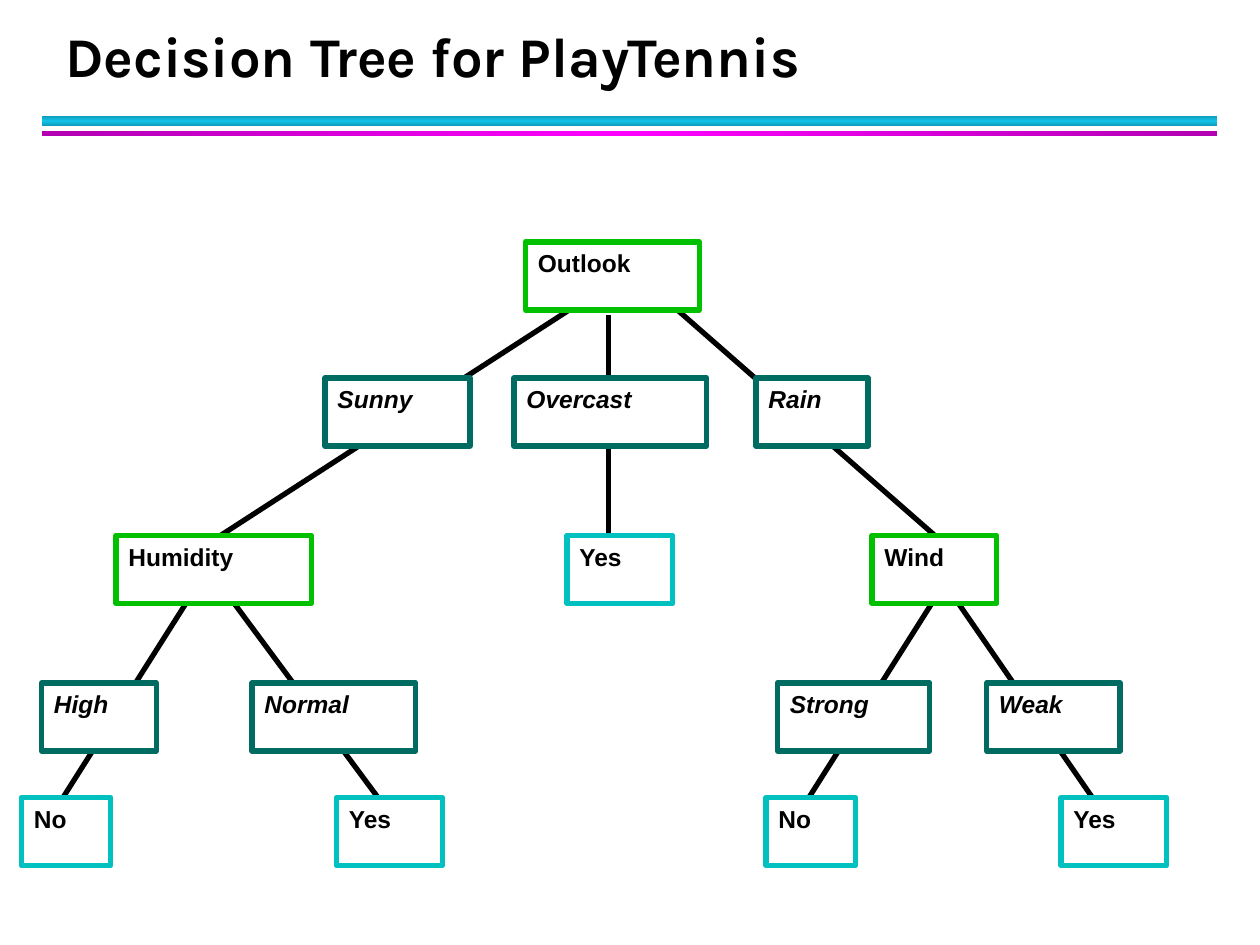
from lxml.etree import SubElement
from pptx import Presentation
from pptx.dml.color import RGBColor
from pptx.enum.shapes import MSO_CONNECTOR, MSO_SHAPE
from pptx.enum.text import MSO_ANCHOR, PP_ALIGN
from pptx.oxml import parse_xml
from pptx.oxml.ns import nsdecls, qn
from pptx.util import Inches, Pt

TITLE = "Decision Tree for PlayTennis"
BLACK, WHITE = "000000", "FFFFFF"
RULES = [
    (0.92, 0.08, "0E9BBA", "12C2E9", 90),
    (1.04, 0.04, "B200B2", "FF00FF", 0),
]
BOX_HEIGHT = 0.54
STYLES = {
    "attribute": ("00C000", False),
    "value": ("006B61", True),
    "answer": ("00C0C0", False),
}
LEVELS = [
    (1.92, [("Outlook", "attribute", 4.17, 1.38)]),
    (3, [("Sunny", "value", 2.58, 1.15),
         ("Overcast", "value", 4.08, 1.53),
         ("Rain", "value", 6, 0.89)]),
    (4.25, [("Humidity", "attribute", 0.92, 1.55),
            ("Yes", "answer", 4.5, 0.84),
            ("Wind", "attribute", 6.92, 0.99)]),
    (5.42, [("High", "value", 0.33, 0.91),
            ("Normal", "value", 2, 1.3),
            ("Strong", "value", 6.17, 1.21),
            ("Weak", "value", 7.83, 1.06)]),
    (6.33, [("No", "answer", 0.17, 0.71),
            ("Yes", "answer", 2.67, 0.84),
            ("No", "answer", 6.08, 0.71),
            ("Yes", "answer", 8.42, 0.84)]),
]
BRANCHES = [
    (2.42, 4.25, [(4.58, 1.75), (5.33, 7.42)]),
    (2.5, 4.25, [(4.83, 4.83)]),
    (4.75, 6.33, [(1.5, 0.5), (1.83, 3), (7.58, 8.67), (7.42, 6.42)]),
]


def color(value):
    return RGBColor.from_string(value)


def add_rectangle(slide, left, top, width, height):
    shape = slide.shapes.add_shape(
        MSO_SHAPE.RECTANGLE, Inches(left), Inches(top), Inches(width), Inches(height))
    shape.shadow.inherit = False
    return shape


def add_rule(slide, top, height, edge, middle, angle):
    shape = add_rectangle(slide, 0.33, top, 9.33, height)
    shape.line.fill.background()
    stops = "".join(
        f'<a:gs pos="{position * 1000}"><a:srgbClr val="{value}"/></a:gs>'
        for position, value in ((0, edge), (50, middle), (100, edge)))
    gradient = parse_xml(
        f'<a:gradFill {nsdecls("a")} rotWithShape="1"><a:gsLst>{stops}</a:gsLst>'
        f'<a:lin ang="{angle * 60000}" scaled="0"/></a:gradFill>')
    shape._element.spPr.find(qn("a:prstGeom")).addnext(gradient)


def add_branch(slide, start_x, start_y, end_x, end_y):
    connector = slide.shapes.add_connector(
        MSO_CONNECTOR.STRAIGHT, Inches(start_x), Inches(start_y), Inches(end_x), Inches(end_y))
    connector.line.color.rgb = color(BLACK)
    connector.line.width = Pt(3)
    SubElement(connector._element.spPr, qn("a:effectLst"))


def write_text(shape, text, font_name, size, italic=False, anchor=MSO_ANCHOR.TOP):
    frame = shape.text_frame
    frame.word_wrap = True
    frame.vertical_anchor = anchor
    paragraph = frame.paragraphs[0]
    paragraph.alignment = PP_ALIGN.LEFT
    run = paragraph.add_run()
    run.text = text
    run.font.name = font_name
    run.font.size = Pt(size)
    run.font.bold = True
    run.font.italic = italic
    run.font.color.rgb = color(BLACK)
    return paragraph


def add_node(slide, text, style, left, top, width):
    outline, italic = STYLES[style]
    shape = add_rectangle(slide, left, top, width, BOX_HEIGHT)
    shape.fill.solid()
    shape.fill.fore_color.rgb = color(WHITE)
    shape.line.color.rgb = color(outline)
    shape.line.width = Pt(3)
    write_text(shape, text, "Arial", 14, italic)


def main():
    """Build the decision tree slide."""
    presentation = Presentation()
    presentation.slide_width, presentation.slide_height = Inches(10), Inches(7.5)
    slide = presentation.slides.add_slide(presentation.slide_layouts[6])
    for rule in RULES:
        add_rule(slide, *rule)
    for start_y, end_y, spans in BRANCHES:
        for start_x, end_x in spans:
            add_branch(slide, start_x, start_y, end_x, end_y)
    title = slide.shapes.add_textbox(Inches(0.42), Inches(0.17), Inches(9.06), Inches(0.58))
    paragraph = write_text(title, TITLE, "Karla", 32, anchor=MSO_ANCHOR.BOTTOM)
    paragraph.line_spacing = Pt(36)
    for top, nodes in LEVELS:
        for text, style, left, width in nodes:
            add_node(slide, text, style, left, top, width)
    presentation.save("out.pptx")


if __name__ == "__main__":
    main()
